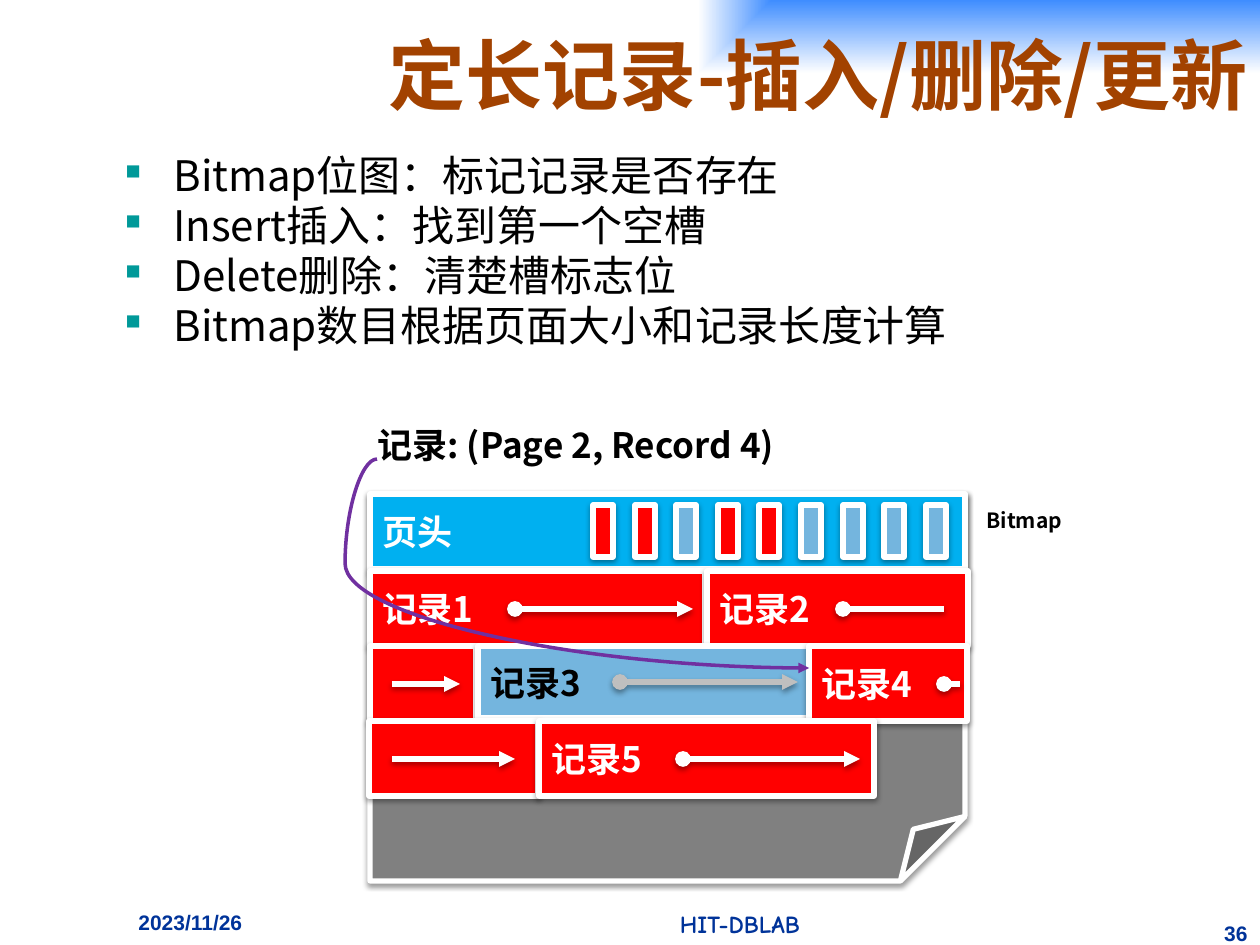
"""Build the slide on fixed-length records: insert, delete and update."""
from dataclasses import dataclass
from typing import NamedTuple, Optional

from lxml import etree
from pptx import Presentation
from pptx.dml.color import RGBColor
from pptx.enum.shapes import MSO_CONNECTOR, MSO_SHAPE
from pptx.enum.text import MSO_ANCHOR, PP_ALIGN
from pptx.oxml.ns import qn
from pptx.util import Emu, Pt

RECTANGLE, FOLDED = MSO_SHAPE.RECTANGLE, MSO_SHAPE.FOLDED_CORNER
STRAIGHT, CURVE = MSO_CONNECTOR.STRAIGHT, MSO_CONNECTOR.CURVE
LEFT, CENTER, RIGHT, JUSTIFY = PP_ALIGN.LEFT, PP_ALIGN.CENTER, PP_ALIGN.RIGHT, PP_ALIGN.JUSTIFY
TOP, MIDDLE = MSO_ANCHOR.TOP, MSO_ANCHOR.MIDDLE
EMU_PER_PX = 914400 / 126


@dataclass(frozen=True)
class Theme:
    white: str = "FFFFFF"
    black: str = "000000"
    sky: str = "3F8DFF"
    title: str = "A24200"
    footer: str = "003399"
    bullet: str = "009999"
    page: str = "808080"
    header: str = "00B0F0"
    used: str = "FF0000"
    free: str = "74B5DE"
    muted: str = "BFBFBF"
    pointer: str = "7030A0"
    heading_font: str = "Noto Sans CJK SC"
    body_font: str = "Noto Sans CJK JP"
    date_font: str = "Arial"
    footer_font: str = "Comic Neue"
    title_size: int = 44
    body_size: int = 24
    record_size: int = 20
    footer_size: int = 14
    small_size: int = 12
    outline: int = 3
    pointer_width: int = 2


THEME = Theme()


class Box(NamedTuple):
    left: int
    top: int
    width: int
    height: int


class Style(NamedTuple):
    size: int
    color: str
    font: str = THEME.heading_font
    bold: bool = True
    align: PP_ALIGN = LEFT


class Arrow(NamedTuple):
    start: int
    end: int
    y: int
    head: bool = True
    tail: bool = True
    color: str = THEME.white


@dataclass(frozen=True)
class Record:
    box: Box
    arrow: Arrow
    text: str = ""
    fill: str = THEME.used
    color: str = THEME.white


class Label(NamedTuple):
    text: str
    box: Box
    style: Style


RECORDS = (
    Record(Box(370, 571, 335, 75), Arrow(515, 693, 609), "记录1"),
    Record(Box(707, 571, 261, 75), Arrow(843, 944, 609, tail=False), "记录2"),
    Record(Box(370, 646, 106, 75), Arrow(392, 460, 684, head=False)),
    Record(Box(478, 646, 335, 72), Arrow(620, 798, 682, color=THEME.muted), "记录3",
           THEME.free, THEME.black),
    Record(Box(809, 646, 158, 75), Arrow(944, 960, 684, tail=False), "记录4"),
    Record(Box(369, 721, 169, 75), Arrow(392, 515, 759, head=False)),
    Record(Box(539, 721, 335, 75), Arrow(683, 860, 759), "记录5"),
)
BITMAP = (1, 1, 0, 1, 1, 0, 0, 0, 0)
BULLETS = (
    "Bitmap位图：标记记录是否存在",
    "Insert插入：找到第一个空槽",
    "Delete删除：清楚槽标志位",
    "Bitmap数目根据页面大小和记录长度计算",
)
RECORD_STYLE = Style(THEME.record_size, THEME.black)
DATE_STYLE = Style(THEME.small_size, THEME.footer, THEME.date_font)
FOOTER_STYLE = Style(THEME.footer_size, THEME.footer, THEME.footer_font, align=CENTER)
LABELS = (
    Label("2023/11/26", Box(126, 903, 220, 42), DATE_STYLE),
    Label("HIT-DBLAB", Box(441, 903, 598, 42), FOOTER_STYLE),
    Label("36", Box(1207, 914, 53, 31), DATE_STYLE._replace(align=RIGHT)),
    Label("Bitmap", Box(974, 501, 106, 38), RECORD_STYLE._replace(size=THEME.small_size)),
    Label("记录: (Page 2, Record 4)", Box(365, 417, 539, 55), RECORD_STYLE),
)


def px(value: float) -> Emu:
    return Emu(round(value * EMU_PER_PX))


def add_child(parent, tag: str, **attributes):
    return etree.SubElement(parent, qn(tag), attributes)


def add_shadow(properties) -> None:
    effects = add_child(properties, "a:effectLst")
    shadow = add_child(effects, "a:outerShdw", blurRad="40000", dist="20000",
                       dir="5400000", rotWithShape="0")
    add_child(add_child(shadow, "a:srgbClr", val=THEME.black), "a:alpha", val="38000")


def style_paragraph(paragraph, style: Style) -> None:
    paragraph.alignment = style.align
    font = paragraph.font
    font.size, font.bold, font.name = Pt(style.size), style.bold, style.font
    font.color.rgb = RGBColor.from_string(style.color)
    add_child(font._element, "a:ea", typeface=style.font)


def write_text(shape, text: str, style: Style, anchor: MSO_ANCHOR = MIDDLE) -> None:
    frame = shape.text_frame
    frame.word_wrap, frame.vertical_anchor = True, anchor
    frame.text = text
    style_paragraph(frame.paragraphs[0], style)


def add_label(slide, label: Label) -> None:
    textbox = slide.shapes.add_textbox(*map(px, label.box))
    write_text(textbox, label.text, label.style, TOP)


def add_block(slide, box: Box, fill: str, kind: MSO_SHAPE = RECTANGLE, text: str = "",
              color: str = THEME.white) -> None:
    shape = slide.shapes.add_shape(kind, *map(px, box))
    shape.fill.solid()
    shape.fill.fore_color.rgb = RGBColor.from_string(fill)
    shape.line.color.rgb = RGBColor.from_string(THEME.white)
    shape.line.width = Pt(THEME.outline)
    add_shadow(shape._element.spPr)
    if text:
        write_text(shape, text, RECORD_STYLE._replace(color=color))


def add_line(slide, kind: MSO_CONNECTOR, points: Box, color: str, width: int,
             head: Optional[str], tail: Optional[str]):
    connector = slide.shapes.add_connector(kind, *map(px, points))
    connector.line.color.rgb = RGBColor.from_string(color)
    connector.line.width = Pt(width)
    line = connector.line._get_or_add_ln()
    for tag, end in (("a:headEnd", head), ("a:tailEnd", tail)):
        if end:
            add_child(line, tag, type=end)
    return connector._element.spPr


def add_record(slide, record: Record) -> None:
    add_block(slide, record.box, record.fill, text=record.text, color=record.color)
    arrow = record.arrow
    properties = add_line(slide, STRAIGHT, Box(arrow.start, arrow.y, arrow.end, arrow.y),
                          arrow.color, THEME.outline, "oval" if arrow.head else None,
                          "triangle" if arrow.tail else None)
    add_shadow(properties)


def add_pointer(slide) -> None:
    properties = add_line(slide, CURVE, Box(377, 459, 809, 668), THEME.pointer,
                          THEME.pointer_width, None, "triangle")
    add_child(properties, "a:effectLst")
    guides = properties.find(qn("a:prstGeom")).find(qn("a:avLst"))
    add_child(guides, "a:gd", name="adj1", fmla="val -7400")


def add_title(slide) -> None:
    shape = slide.shapes.add_shape(RECTANGLE, *map(px, Box(136, 0, 1124, 147)))
    shape.shadow.inherit = False
    shape.line.fill.background()
    shape.fill.gradient()
    for stop, color in zip(shape.fill.gradient_stops, (THEME.sky, THEME.white)):
        stop.color.rgb = RGBColor.from_string(color)
    gradient = shape._element.spPr.find(qn("a:gradFill"))
    gradient.remove(gradient.find(qn("a:lin")))
    radial = add_child(gradient, "a:path", path="rect")
    add_child(radial, "a:fillToRect", l="100000", b="100000")
    write_text(shape, "定长记录-插入/删除/更新", Style(THEME.title_size, THEME.title, align=RIGHT))


def add_bullets(slide) -> None:
    frame = slide.shapes.add_textbox(*map(px, Box(113, 147, 1092, 292))).text_frame
    frame.word_wrap, frame.margin_top = True, px(12)
    frame.text = "\n".join(BULLETS)
    for index, paragraph in enumerate(frame.paragraphs):
        paragraph.line_spacing = 0.8
        if index:
            paragraph.space_before = Pt(5.6)
        properties = paragraph._p.get_or_add_pPr()
        properties.set("marL", str(px(48)))
        properties.set("indent", str(-px(48)))
        add_child(add_child(properties, "a:buClr"), "a:srgbClr", val=THEME.bullet)
        add_child(properties, "a:buSzPct", val="50000")
        add_child(properties, "a:buChar", char="■")
        style_paragraph(paragraph, Style(THEME.body_size, THEME.black, THEME.body_font, False, JUSTIFY))


def main() -> None:
    presentation = Presentation()
    presentation.slide_width, presentation.slide_height = px(1260), px(945)
    slide = presentation.slides.add_slide(presentation.slide_layouts[6])
    add_title(slide)
    add_bullets(slide)
    add_block(slide, Box(370, 494, 595, 387), THEME.page, FOLDED)
    add_block(slide, Box(370, 494, 595, 75), THEME.header, text="页头")
    for record in RECORDS:
        add_record(slide, record)
    for index, used in enumerate(BITMAP):
        slot = Box(round(593 + 41.6 * index), 505, 20, 52)
        add_block(slide, slot, THEME.used if used else THEME.free)
    for label in LABELS:
        add_label(slide, label)
    add_pointer(slide)
    presentation.save("out.pptx")


if __name__ == "__main__":
    main()
